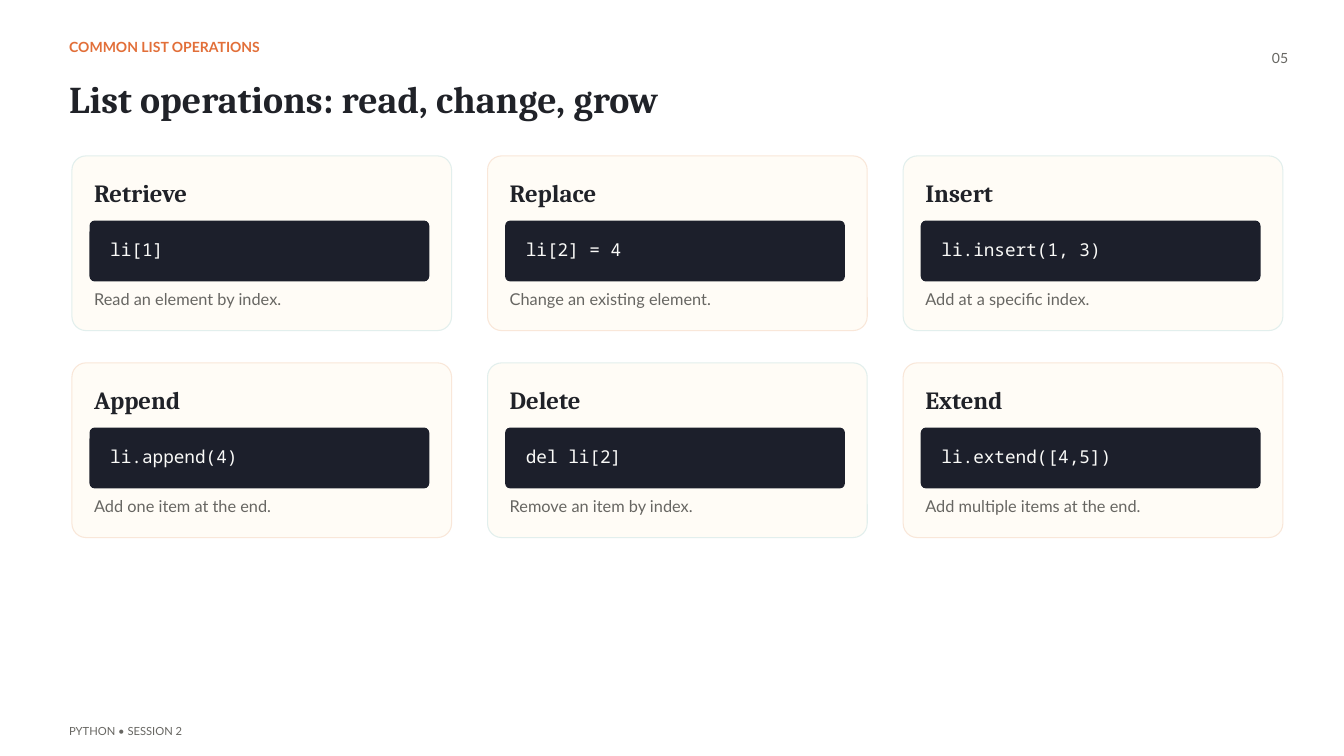
"""Build a slide of six cards showing common Python list operations."""
import pptx
import pptx.dml.color
import pptx.enum.shapes
import pptx.enum.text
import pptx.util

COLORS = {
    "accent": "E26F39", "ink": "202228", "muted": "676662",
    "card": "FFFCF6", "mint": "E2EFED", "peach": "F9E7D9",
    "code": "1C1F2B", "code_text": "FAFAF8", "background": "FFFFFF",
}
FORMATS = {
    "eyebrow": {"name": "Lato", "size": 15, "bold": True, "color": "accent"},
    "title": {"name": "Cambria", "size": 40.5, "bold": True, "color": "ink"},
    "number": {"name": "Lato", "size": 15, "bold": False, "color": "muted"},
    "heading": {"name": "Cambria", "size": 26.5, "bold": True, "color": "ink"},
    "code": {"name": "Noto Sans Mono", "size": 19, "bold": False, "color": "code_text"},
    "caption": {"name": "Lato", "size": 17.5, "bold": False, "color": "muted"},
    "footer": {"name": "Lato", "size": 12, "bold": False, "color": "muted"},
}
OPERATIONS = [
    ("Retrieve", "li[1]", "Read an element by index."),
    ("Replace", "li[2] = 4", "Change an existing element."),
    ("Insert", "li.insert(1, 3)", "Add at a specific index."),
    ("Append", "li.append(4)", "Add one item at the end."),
    ("Delete", "del li[2]", "Remove an item by index."),
    ("Extend", "li.extend([4,5])", "Add multiple items at the end."),
]
COLUMNS = 3
MARGIN = 1.03
GRID_LEFT, GRID_TOP = 1.07, 2.32
CARD_WIDTH, CARD_HEIGHT = 5.65, 2.6
COLUMN_GAP, ROW_GAP = 0.535, 0.48

presentation = pptx.Presentation()
presentation.slide_width = pptx.util.Inches(20)
presentation.slide_height = pptx.util.Inches(11.25)
slide = presentation.slides.add_slide(presentation.slide_layouts[6])
slide.background.fill.solid()
slide.background.fill.fore_color.rgb = pptx.dml.color.RGBColor.from_string(COLORS["background"])


def add_text(text, style, left, top, width, height, align="LEFT"):
    box = slide.shapes.add_textbox(*map(pptx.util.Inches, (left, top, width, height)))
    frame = box.text_frame
    settings = {
        "margin_left": 0, "margin_top": 0, "margin_right": 0, "margin_bottom": 0,
        "word_wrap": True, "auto_size": pptx.enum.text.MSO_AUTO_SIZE.SHAPE_TO_FIT_TEXT,
    }
    for name, value in settings.items():
        setattr(frame, name, value)
    values = FORMATS[style]
    paragraph = frame.paragraphs[0]
    paragraph.alignment = getattr(pptx.enum.text.PP_ALIGN, align)
    paragraph.line_spacing = pptx.util.Pt(values["size"] * 1.2)
    run = paragraph.add_run()
    run.text = text
    font_values = {"name": values["name"], "size": pptx.util.Pt(values["size"]), "bold": values["bold"]}
    for name, value in font_values.items():
        setattr(run.font, name, value)
    run.font.color.rgb = pptx.dml.color.RGBColor.from_string(COLORS[values["color"]])


def add_panel(left, top, width, height, radius, fill, line):
    shape = slide.shapes.add_shape(
        pptx.enum.shapes.MSO_SHAPE.ROUNDED_RECTANGLE,
        *map(pptx.util.Inches, (left, top, width, height)),
    )
    shape.adjustments[0] = radius / height
    shape.shadow.inherit = False
    shape.fill.solid()
    shape.fill.fore_color.rgb = pptx.dml.color.RGBColor.from_string(COLORS[fill])
    shape.line.color.rgb = pptx.dml.color.RGBColor.from_string(COLORS[line])
    shape.line.width = pptx.util.Pt(1.13)


add_text("COMMON LIST OPERATIONS", "eyebrow", MARGIN, 0.58, 8.61, 0.43)
add_text("List operations: read, change, grow", "title", MARGIN, 1.12, 16.71, 0.89)
add_text("05", "number", 18.44, 0.73, 0.73, 0.43, "RIGHT")

for index, (heading, code, caption) in enumerate(OPERATIONS):
    row, column = divmod(index, COLUMNS)
    left = GRID_LEFT + column * (CARD_WIDTH + COLUMN_GAP)
    top = GRID_TOP + row * (CARD_HEIGHT + ROW_GAP)
    border = ("mint", "peach")[index % 2]
    add_panel(left, top, CARD_WIDTH, CARD_HEIGHT, 0.21, "card", border)
    add_text(heading, "heading", left + 0.33, top + 0.32, 1.6, 0.45)
    add_panel(left + 0.27, top + 0.97, 5.04, 0.89, 0.07, "code", "code")
    add_text(code, "code", left + 0.57, top + 1.23, 4.45, 0.35)
    add_text(caption, "caption", left + 0.33, top + 1.98, 4.85, 0.3)

add_text("PYTHON • SESSION 2", "footer", MARGIN, 10.78, 9.66, 0.2)

presentation.save("out.pptx")
